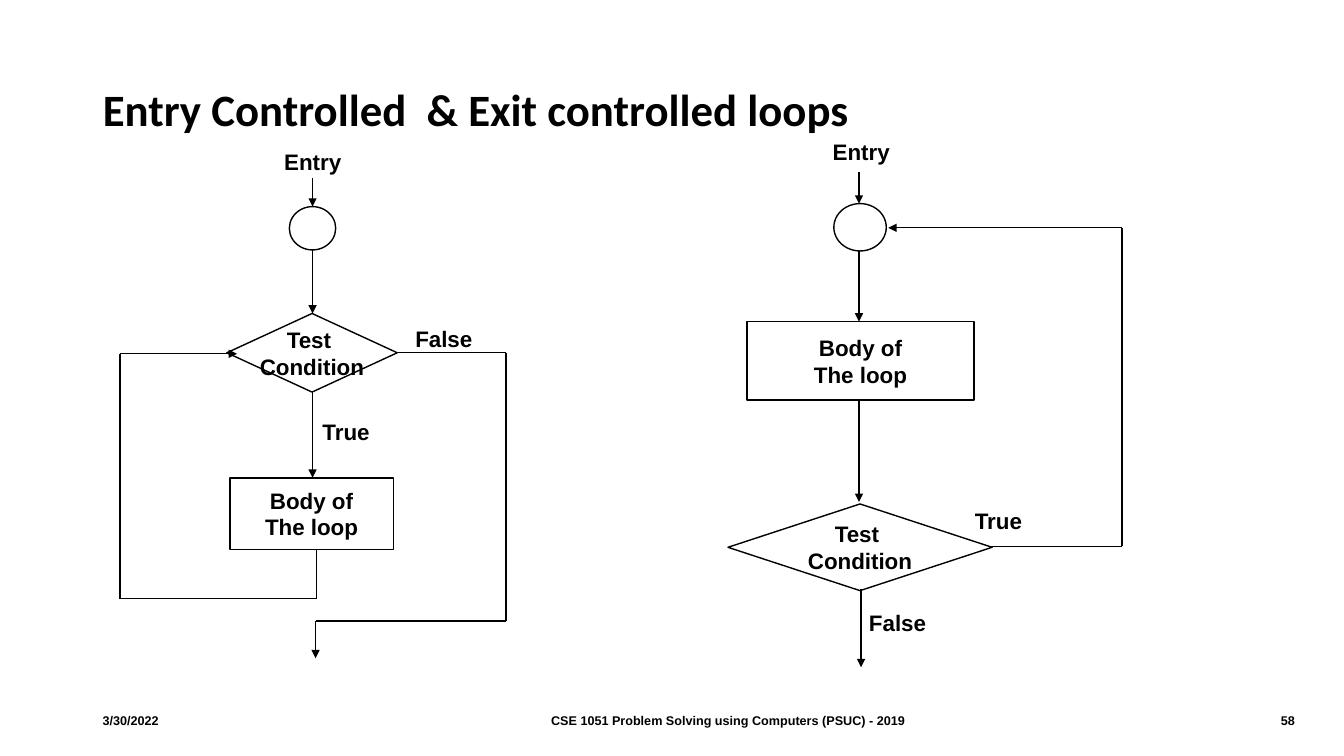
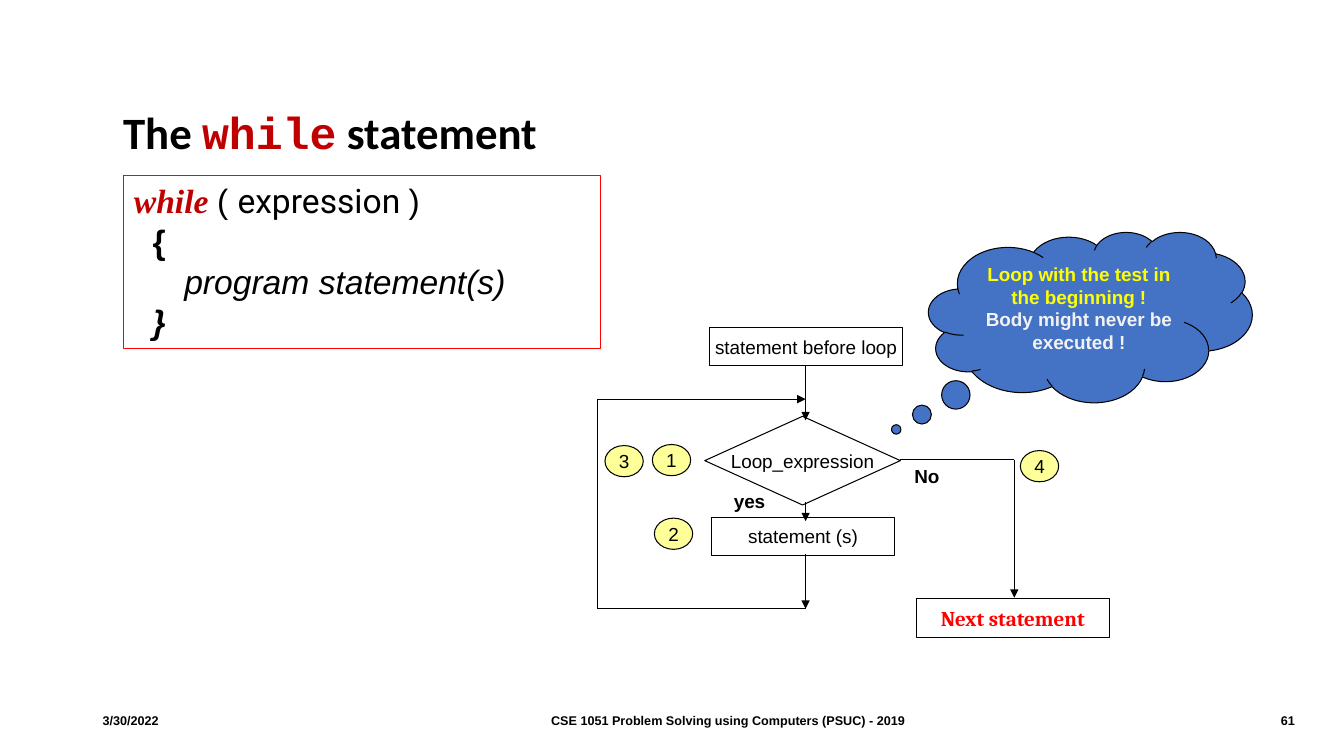
import lxml.etree
import pptx
import pptx.util
import pptx.dml.color
import pptx.enum.shapes
import pptx.enum.text
import pptx.oxml.ns

Inches = pptx.util.Inches
Shape = pptx.enum.shapes.MSO_SHAPE
Anchor = pptx.enum.text.MSO_ANCHOR
Align = pptx.enum.text.PP_ALIGN

BLACK, WHITE, RED, DARK_RED = "000000", "FFFFFF", "FF0000", "C00000"
YELLOW, PALE_YELLOW, BLUE, PALE_GREY = "FFFF00", "FFFF99", "4472C4", "F2F2F2"

TITLE = {"name": "Calibri", "size": 32, "bold": True, "color": BLACK}
KEYWORD = {**TITLE, "name": "Courier New", "color": DARK_RED}
FOOTER = {"name": "Arial", "size": 9, "bold": True, "color": BLACK}
LOOP = {"name": "Arial", "size": 16, "bold": True, "color": BLACK}
FLOW = {"name": "Arial", "size": 13.5, "bold": False, "color": BLACK}
FLOW_BOLD = {**FLOW, "bold": True}
NEXT = {"name": "Cambria", "size": 15, "bold": True, "color": RED}
CODE = {"name": "Arial", "size": 24, "color": BLACK}
CODE_BOLD = {**CODE, "bold": True}
CODE_ITALIC = {**CODE, "italic": True}
CODE_WORD = {**CODE_BOLD, "name": "Times New Roman", "italic": True, "color": DARK_RED}

FOOTER_TOP, FOOTER_HEIGHT = 6.95, 0.4
DATE = "3/30/2022"
COURSE = "CSE 1051 Problem Solving using Computers (PSUC) - 2019"


def lines(style, *texts):
    return [[(text, style)] for text in texts]


TEST = lines(LOOP, "Test ", "Condition")
BODY = lines(LOOP, "Body of", "The loop")

LOOPS_SLIDE = {
    "title": [("Entry Controlled  & Exit controlled loops", TITLE)],
    "title_at": (0.92, 0.83, 10.07, 0.56),
    "number": "58",
    "weight": 1,
    "nodes": [
        (Shape.FLOWCHART_CONNECTOR, (2.87, 2.05, 0.46, 0.43), WHITE, []),
        (Shape.FLOWCHART_DECISION, (2.25, 3.11, 1.69, 0.78), WHITE, TEST),
        (Shape.FLOWCHART_PROCESS, (2.28, 4.74, 1.62, 0.71), WHITE, BODY),
        (Shape.FLOWCHART_CONNECTOR, (8.27, 2.02, 0.52, 0.47), WHITE, []),
        (Shape.FLOWCHART_PROCESS, (7.41, 3.19, 2.25, 0.78), WHITE, BODY),
        (Shape.FLOWCHART_DECISION, (7.22, 5, 2.62, 0.86), WHITE, TEST),
    ],
    "labels": [
        ("Entry", (2.72, 1.42, 0.78, 0.37), LOOP),
        ("True", (3.1, 4.1, 0.68, 0.37), LOOP),
        ("False", (4.02, 3.18, 0.78, 0.37), LOOP),
        ("Entry", (8.16, 1.32, 0.78, 0.37), LOOP),
        ("True", (9.57, 4.98, 0.68, 0.37), LOOP),
        ("False", (8.52, 5.99, 0.78, 0.37), LOOP),
    ],
    "arrows": [
        [(3.1, 1.77), (3.1, 2.05)],
        [(3.1, 2.48), (3.1, 3.11)],
        [(3.1, 3.89), (3.1, 4.74)],
        [(3.14, 5.46), (3.14, 5.94), (1.19, 5.94), (1.19, 3.51), (2.35, 3.51)],
        [(3.95, 3.5), (5.02, 3.5), (5.02, 6.16), (3.13, 6.16), (3.13, 6.53)],
        [(8.52, 1.71), (8.52, 2.02)],
        [(8.52, 2.49), (8.52, 3.19)],
        [(8.52, 3.97), (8.52, 4.98)],
        [(8.54, 5.84), (8.54, 6.62)],
        [(9.82, 5.42), (11.13, 5.42), (11.13, 2.26), (8.81, 2.26)],
    ],
}

BADGES = [("1", 6.47, 4.41), ("2", 6.49, 5.14), ("3", 6, 4.42), ("4", 10.12, 4.47)]

WHILE_SLIDE = {
    "title": [("The ", TITLE), ("while", KEYWORD), (" statement", TITLE)],
    "title_at": (1.12, 1.06, 8.68, 0.56),
    "number": "61",
    "weight": 0.75,
    "nodes": [
        (Shape.FLOWCHART_PROCESS, (7.04, 3.25, 1.91, 0.38), None,
         lines(FLOW, "statement before loop")),
        (Shape.FLOWCHART_DECISION, (6.99, 4.13, 1.94, 0.88), None,
         lines(FLOW, "Loop_expression")),
        (Shape.FLOWCHART_PROCESS, (7.06, 5.13, 1.81, 0.38), None,
         lines(FLOW, "statement (s)")),
        (Shape.FLOWCHART_PROCESS, (9.09, 5.94, 1.91, 0.38), None,
         lines(NEXT, "Next statement")),
    ] + [
        (Shape.OVAL, (left, top, 0.38, 0.31), PALE_YELLOW, lines(FLOW, digit))
        for digit, left, top in BADGES
    ],
    "labels": [
        ("yes", (7.18, 4.81, 0.52, 0.33), FLOW_BOLD),
        ("No", (8.97, 4.56, 0.45, 0.33), FLOW_BOLD),
    ],
    "arrows": [
        [(7.99, 3.63), (7.99, 4.17)],
        [(7.99, 4.98), (7.99, 5.17)],
        [(7.99, 5.5), (7.99, 6.04)],
        [(7.99, 6.04), (5.93, 6.04), (5.93, 3.96), (7.99, 3.96)],
        [(8.93, 4.56), (10.06, 4.56), (10.06, 5.93)],
    ],
}

SYNTAX = [
    [("while ", CODE_WORD), ("( ", CODE), ("expression ", {**CODE, "name": "Roboto"}),
     (")", CODE)],
    [("  {", CODE_BOLD)],
    [("\tprogram statement(s)", CODE_ITALIC)],
    [("  ", CODE_ITALIC), ("}", {**CODE_BOLD, "italic": True})],
]
REMARK = [
    [("Loop with the test in the beginning !", {**FLOW_BOLD, "color": YELLOW})],
    [("Body might never be executed !", {**FLOW_BOLD, "color": PALE_GREY})],
]


def color(value):
    return pptx.dml.color.RGBColor.from_string(value)


def lengths(values):
    return [Inches(value) for value in values]


def write(box, paragraphs, align=Align.LEFT, anchor=Anchor.MIDDLE, wrap=True):
    frame = box.text_frame
    frame.word_wrap = wrap
    frame.vertical_anchor = anchor
    for index, spans in enumerate(paragraphs):
        para = frame.add_paragraph() if index else frame.paragraphs[0]
        para.alignment = align
        for text, style in spans:
            span = para.add_run()
            span.text = text
            for key, value in style.items():
                if key == "color":
                    span.font.color.rgb = color(value)
                else:
                    setattr(span.font, key, pptx.util.Pt(value) if key == "size" else value)


def add_text(page, at, paragraphs, **layout):
    write(page.shapes.add_textbox(*lengths(at)), paragraphs, **layout)


def add_node(page, kind, at, fill, weight, line=BLACK):
    node = page.shapes.add_shape(kind, *lengths(at))
    node.shadow.inherit = False
    if fill:
        node.fill.solid()
        node.fill.fore_color.rgb = color(fill)
    else:
        node.fill.background()
    node.line.color.rgb = color(line)
    node.line.width = pptx.util.Pt(weight)
    return node


def add_arrow(page, points, weight):
    name = pptx.oxml.ns.qn
    for start, end in zip(points, points[1:]):
        connector = page.shapes.add_connector(
            pptx.enum.shapes.MSO_CONNECTOR.STRAIGHT, *lengths(start + end))
        connector.line.color.rgb = color(BLACK)
        connector.line.width = pptx.util.Pt(weight)
        properties = connector._element.spPr
        lxml.etree.SubElement(properties, name("a:effectLst"))
    outline = properties.find(name("a:ln"))
    lxml.etree.SubElement(outline, name("a:tailEnd"), type="triangle")


def add_page(deck, content):
    page = deck.slides.add_slide(deck.slide_layouts[5])
    title = page.shapes.title
    title.left, title.top, title.width, title.height = lengths(content["title_at"])
    title.text_frame.auto_size = pptx.enum.text.MSO_AUTO_SIZE.NONE
    write(title, [content["title"]])
    title.text_frame.paragraphs[0].line_spacing = 0.9

    footers = [(DATE, 0.92, 1.26, Align.LEFT), (COURSE, 2.42, 9.6, Align.CENTER),
               (content["number"], 12.42, 0.52, Align.RIGHT)]
    for text, left, width, align in footers:
        add_text(page, (left, FOOTER_TOP, width, FOOTER_HEIGHT), lines(FOOTER, text),
                 align=align)

    weight = content["weight"]
    for kind, at, fill, paragraphs in content["nodes"]:
        node = add_node(page, kind, at, fill, weight)
        write(node, paragraphs, align=Align.CENTER, wrap=False)
    for text, at, style in content["labels"]:
        add_text(page, at, lines(style, text), anchor=Anchor.TOP, wrap=False)
    for points in content["arrows"]:
        add_arrow(page, points, weight)
    return page


def main():
    deck = pptx.Presentation()
    deck.slide_width, deck.slide_height = lengths((13.33, 7.5))
    add_page(deck, LOOPS_SLIDE)
    page = add_page(deck, WHILE_SLIDE)

    weight = WHILE_SLIDE["weight"]
    syntax = add_node(page, Shape.RECTANGLE, (1.23, 1.74, 4.73, 1.72), None, weight, RED)
    write(syntax, SYNTAX, anchor=Anchor.TOP)
    cloud = add_node(page, Shape.CLOUD_CALLOUT, (9.21, 2.3, 3.21, 1.69), BLUE, weight)
    cloud.adjustments[0], cloud.adjustments[1] = -0.6, 0.66
    write(cloud, REMARK, align=Align.CENTER, anchor=Anchor.TOP)
    deck.save("out.pptx")


if __name__ == "__main__":
    main()
